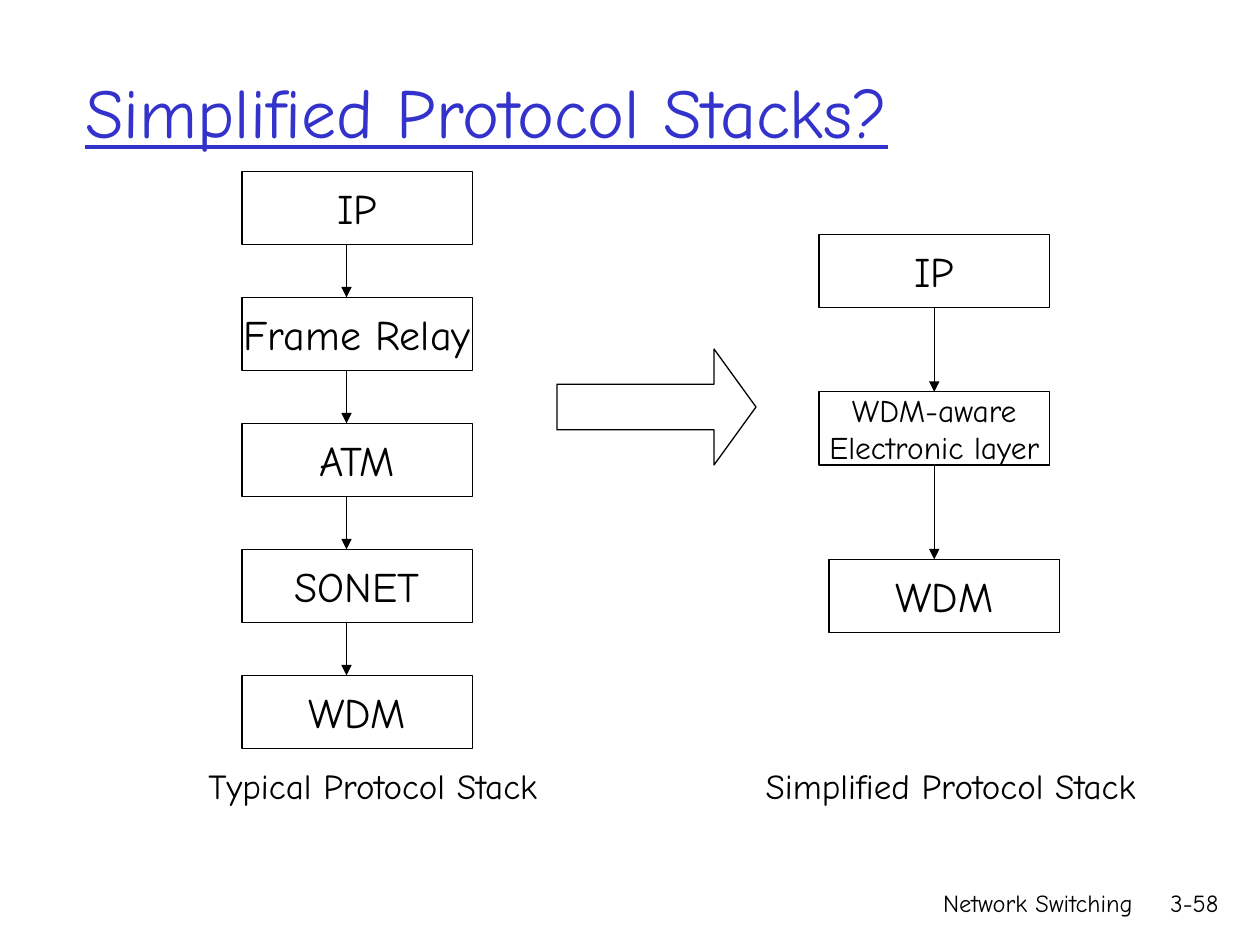
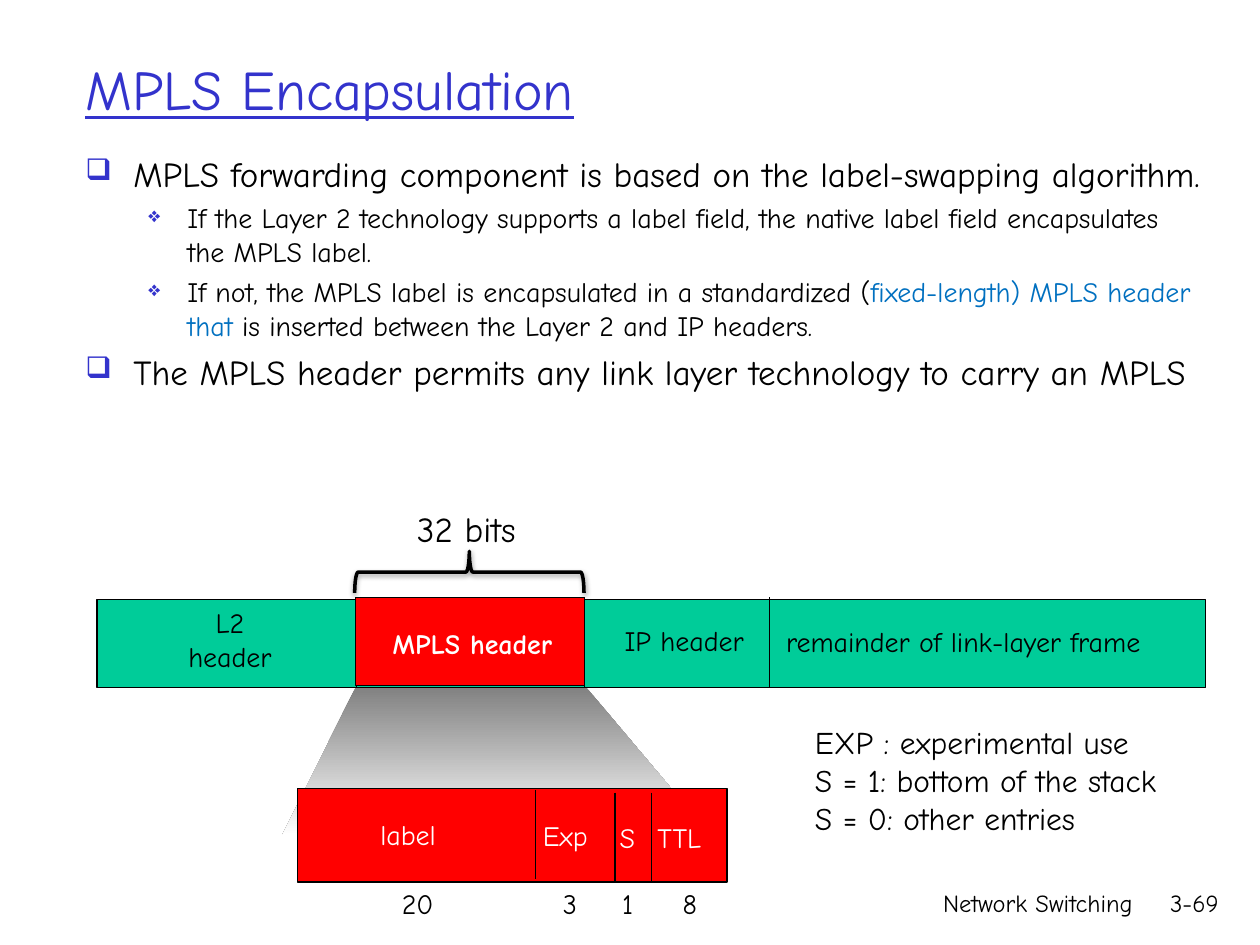
from lxml import etree
from pptx import Presentation
from pptx.dml.color import RGBColor
from pptx.enum.shapes import MSO_CONNECTOR, MSO_SHAPE
from pptx.enum.text import MSO_ANCHOR, MSO_AUTO_SIZE, PP_ALIGN
from pptx.oxml.ns import qn
from pptx.util import Inches, Pt

BLACK = RGBColor(0, 0, 0)
WHITE = RGBColor(255, 255, 255)
TITLE_BLUE = RGBColor(0x33, 0x33, 0xCC)
ACCENT_BLUE = RGBColor(0x00, 0x70, 0xC0)
GREEN = RGBColor(0x00, 0xCC, 0x99)
RED = RGBColor(255, 0, 0)
GREY = RGBColor(0x80, 0x80, 0x80)

FONT = "Comic Neue"
THIN = 0.75
LEFT, CENTER, RIGHT = PP_ALIGN.LEFT, PP_ALIGN.CENTER, PP_ALIGN.RIGHT
TOP, MIDDLE = MSO_ANCHOR.TOP, MSO_ANCHOR.MIDDLE
GROW = MSO_AUTO_SIZE.SHAPE_TO_FIT_TEXT
STRAIGHT = MSO_CONNECTOR.STRAIGHT
RECT = MSO_SHAPE.RECTANGLE
ARROW = MSO_SHAPE.RIGHT_ARROW
BRACE = MSO_SHAPE.RIGHT_BRACE
SITE_TOP, SITE_BOTTOM = 0, 2

BOX_W, BOX_H = 1.83, 0.58


def add_xml(parent, tag, **attrs):
    """Append a child element with the given attributes."""
    return etree.SubElement(parent, qn(tag), {k: str(v) for k, v in attrs.items()})


def add_run(p, text, size, color=BLACK, bold=False, underline=False):
    """Append one formatted run to a paragraph."""
    r = p.add_run()
    r.text = text
    font = r.font
    font.name, font.size, font.color.rgb = FONT, Pt(size), color
    font.bold, font.underline = bold, underline


def write(sp, text, size=16, align=LEFT, anchor=TOP, wrap=False, grow=False, **fmt):
    """Fill a shape with text, one paragraph per line."""
    tf = sp.text_frame
    tf.word_wrap, tf.vertical_anchor = wrap, anchor
    if grow:
        tf.auto_size = GROW
    for i, line in enumerate(text.split("\n")):
        p = tf.add_paragraph() if i else tf.paragraphs[0]
        p.alignment = align
        add_run(p, line, size, **fmt)


def add_text(slide, box, text, **fmt):
    """Add a text box."""
    sp = slide.shapes.add_textbox(*map(Inches, box))
    write(sp, text, **fmt)
    return sp


def add_shape(slide, kind, box, fill=None, line=THIN):
    """Add a preset shape with a plain fill and a black outline."""
    sp = slide.shapes.add_shape(kind, *map(Inches, box))
    sp.shadow.inherit = False
    if fill is None:
        sp.fill.background()
    else:
        sp.fill.solid()
        sp.fill.fore_color.rgb = fill
    if line:
        sp.line.color.rgb, sp.line.width = BLACK, Pt(line)
    else:
        sp.line.fill.background()
    return sp


def add_line(slide, x1, y1, x2, y2, arrow=False):
    """Add a thin black line, with an arrowhead on request."""
    sp = slide.shapes.add_connector(STRAIGHT, *map(Inches, (x1, y1, x2, y2)))
    sp.line.color.rgb, sp.line.width = BLACK, Pt(THIN)
    if arrow:
        add_xml(sp.line._get_or_add_ln(), "a:tailEnd", type="triangle")
    add_xml(sp._element.spPr, "a:effectLst")
    return sp


def new_slide(prs, title, title_size, title_height, number):
    """Add a slide with its title and footer."""
    slide = prs.slides.add_slide(prs.slide_layouts[6])
    add_text(slide, (0.58, 0.25, 8.5, title_height), title, size=title_size,
             color=TITLE_BLUE, underline=True, anchor=MIDDLE, wrap=True)
    for box, text in (((5.92, 7, 3.17, 0.5), "Network Switching"),
                      ((8.98, 7, 0.79, 0.5), number)):
        add_text(slide, box, text, size=14, align=RIGHT, wrap=True)
    return slide


def add_layer(slide, x, y, text, size=24):
    """Add one outlined protocol layer."""
    sp = add_shape(slide, RECT, (x, y, BOX_W, BOX_H))
    write(sp, text, size=size, align=CENTER, anchor=MIDDLE)
    return sp


def add_caption(slide, box, text):
    """Add the caption under a stack."""
    add_text(slide, box, text, size=20, align=CENTER, anchor=MIDDLE)


def typical_stack(slide, x, y):
    """Draw the five-layer stack."""
    for i, name in enumerate(("IP", "Frame Relay", "ATM", "SONET", "WDM")):
        add_layer(slide, x, y + i, name)
        if i:
            add_line(slide, x + 0.83, y + i - 1 + BOX_H, x + 0.83, y + i, arrow=True)
    add_caption(slide, (x - 1.16, y + 4.58, 4.4, 0.58), "Typical Protocol Stack")


def simplified_stack(slide, x, y):
    """Draw the three-layer stack."""
    ip = add_layer(slide, x, y, "IP")
    electronic = add_layer(slide, x, y + 1.25, "WDM-aware\nElectronic layer", size=18)
    add_layer(slide, x + 0.08, y + 2.58, "WDM")
    mid = x + BOX_W / 2
    upper = add_line(slide, mid, y + BOX_H, mid, y + 1.25, arrow=True)
    upper.begin_connect(ip, SITE_BOTTOM)
    upper.end_connect(electronic, SITE_TOP)
    lower = add_line(slide, mid, y + 1.25 + BOX_H, mid, y + 2.58, arrow=True)
    lower.begin_connect(electronic, SITE_BOTTOM)
    add_caption(slide, (x - 0.93, y + 4.08, 3.95, 0.58), "Simplified Protocol Stack")


def stacks_slide(prs):
    """Build the comparison of protocol stacks."""
    slide = new_slide(prs, "Simplified Protocol Stacks?", 40, 1.25, "3-58")
    typical_stack(slide, 1.92, 1.36)
    simplified_stack(slide, 6.5, 1.86)
    arrow = add_shape(slide, ARROW, (4.42, 2.77, 1.58, 0.92), WHITE)
    arrow.adjustments[0], arrow.adjustments[1] = 0.394, 0.362


def add_bullet(tf, level, runs):
    """Add a bulleted paragraph made of (text, colour) runs."""
    first = not tf.paragraphs[0].runs
    p = tf.paragraphs[0] if first else tf.add_paragraph()
    char, scale, margin, indent, size = (("❑", 85, 0.38, 0.38, 20),
                                         ("❖", 75, 0.81, 0.31, 16))[level]
    if not first:
        p.space_before = Pt(size * 0.24)
    p.level = level
    pPr = p._p.get_or_add_pPr()
    pPr.set("marL", str(Inches(margin)))
    pPr.set("indent", str(-Inches(indent)))
    add_xml(add_xml(pPr, "a:buClr"), "a:srgbClr", val=TITLE_BLUE)
    add_xml(pPr, "a:buSzPct", val=scale * 1000)
    add_xml(pPr, "a:buChar", char=char)
    for text, color in runs:
        add_run(p, text, size, color=color)


def body(slide, box):
    """Write the bulleted explanation."""
    tf = slide.shapes.add_textbox(*map(Inches, box)).text_frame
    tf.word_wrap = True
    add_bullet(tf, 0, [("MPLS forwarding component is based on the "
                        "label-swapping algorithm.", BLACK)])
    add_bullet(tf, 1, [("If the Layer 2 technology supports a label field, the "
                        "native label field encapsulates the MPLS label.", BLACK)])
    add_bullet(tf, 1, [("If not, the MPLS label is encapsulated in a standardized (", BLACK),
                       ("fixed-length) MPLS header that ", ACCENT_BLUE),
                       ("is inserted between the Layer 2 and IP headers.", BLACK)])
    add_bullet(tf, 0, [("The MPLS header permits any link layer technology to "
                        "carry an MPLS", BLACK)])


def zoom_wedge(slide, x, y):
    """Draw the fading wedge from the MPLS header down to its fields."""
    points = [(x + dx, y + dy) for dx, dy in ((0.59, 0), (0, 1.19), (3.4, 1.19), (1.81 + 0.59, 0))]
    pts = [(Inches(px), Inches(py)) for px, py in points]
    builder = slide.shapes.build_freeform(*pts[0], scale=1.0)
    builder.add_line_segments(pts[1:], close=True)
    sp = builder.convert_to_shape()
    sp.shadow.inherit = False
    sp.line.fill.background()
    sp.fill.gradient()
    sp.fill.gradient_angle = 270
    for stop, color in zip(sp.fill.gradient_stops, (GREY, WHITE)):
        stop.color.rgb = color


def frame_row(slide, x, y):
    """Draw the link-layer frame with the MPLS header inside it."""
    add_shape(slide, RECT, (x, y, 8.8, 0.7), GREEN)
    for dx, dy, w, h, text, align in (
            (0.59, 0, 0.93, 0.64, "L2\nheader", CENTER),
            (4.04, 0.14, 1.24, 0.37, "IP header", CENTER),
            (5.37, 0.15, 3.31, 0.37, "remainder of link-layer frame", LEFT)):
        add_text(slide, (x + dx, y + dy, w, h), text, align=align, grow=True)
    for dx in (2.06, 3.87, 5.34):
        add_line(slide, x + dx, y - 0.02, x + dx, y + 0.69)
    add_shape(slide, RECT, (x + 2.05, y - 0.02, 1.82, 0.7), RED)
    add_text(slide, (x + 2.16, y + 0.16, 1.64, 0.37), "MPLS header",
             align=CENTER, color=WHITE, bold=True, grow=True)


def field_row(slide, x, y):
    """Draw the MPLS header fields and their sizes in bits."""
    add_shape(slide, RECT, (x, y, 3.41, 0.74), RED)
    for name, dx, dy, w, bits, bits_dx, bits_w in (
            ("label", 0.56, 0.18, 0.7, "20", 0.73, 0.48),
            ("Exp", 1.85, 0.19, 0.59, "3", 2.01, 0.34),
            ("S", 2.46, 0.2, 0.36, "1", 2.48, 0.3),
            ("TTL", 2.76, 0.2, 0.63, "8", 2.96, 0.34)):
        sp = add_shape(slide, RECT, (x + dx, y + dy, w, 0.37), RED, line=None)
        write(sp, name, color=WHITE, grow=True)
        add_text(slide, (x + bits_dx, y + 0.73, bits_w, 0.37), bits, grow=True)
    for dx, dy in ((1.89, 0.01), (2.52, 0.03), (2.81, 0.03)):
        add_line(slide, x + dx, y + dy, x + dx, y + dy + 0.71)


def width_brace(slide, x, y):
    """Draw the shadowed brace that marks the header width."""
    add_text(slide, (x, y, 1.26, 0.44), "32 bits", size=20, wrap=True, grow=True)
    sp = add_shape(slide, BRACE, (x + 0.35, y - 0.35, 0.33, 1.82), line=2)
    sp.rotation = 270
    effects = sp._element.spPr.find(qn("a:effectLst"))
    shadow = add_xml(effects, "a:outerShdw", blurRad=Pt(3.1), dist=Pt(1.6),
                     dir=90 * 60000, rotWithShape=0)
    color = add_xml(shadow, "a:srgbClr", val=BLACK)
    add_xml(color, "a:alpha", val=38000)


def encapsulation_slide(prs):
    """Build the slide on MPLS encapsulation."""
    slide = new_slide(prs, "MPLS Encapsulation", 32, 0.9, "3-69")
    body(slide, (0.58, 1.16, 9.07, 2.4))
    zoom_wedge(slide, 2.24, 5.44)
    frame_row(slide, 0.77, 4.76)
    field_row(slide, 2.36, 6.26)
    add_text(slide, (6.37, 5.69, 3.3, 1.01),
             "EXP : experimental use\nS = 1: bottom of the stack\nS = 0: other entries",
             size=18, wrap=True, grow=True)
    width_brace(slide, 3.21, 3.98)


def main():
    """Build and save the presentation."""
    prs = Presentation()
    prs.slide_width, prs.slide_height = Inches(10), Inches(7.5)
    stacks_slide(prs)
    encapsulation_slide(prs)
    prs.save("out.pptx")


if __name__ == "__main__":
    main()
